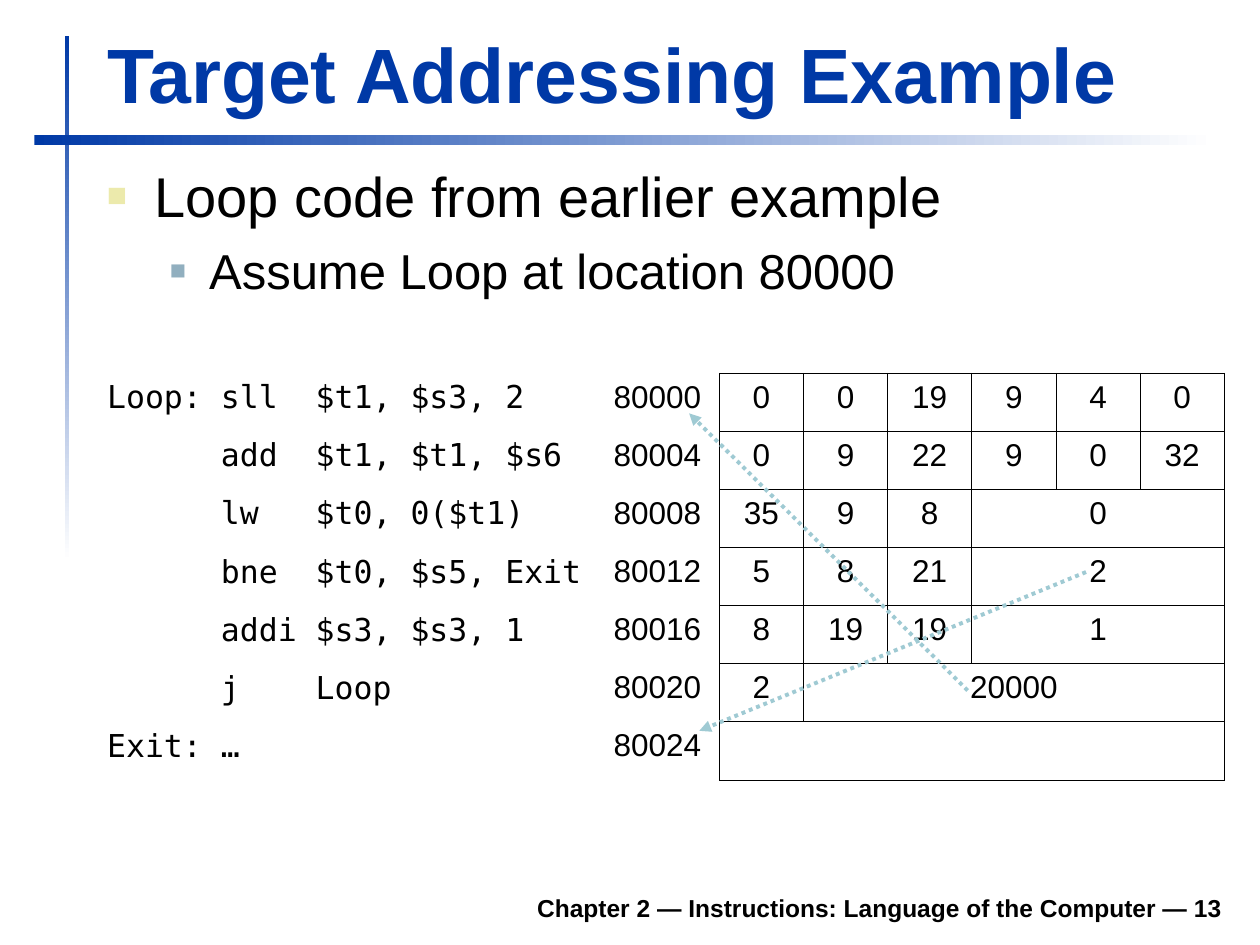
from lxml import etree
from pptx import Presentation
from pptx.dml.color import RGBColor
from pptx.enum import dml, shapes, text
from pptx.oxml import ns
from pptx.util import Pt

NAVY = RGBColor(0x00, 0x39, 0xA6)
WHITE = RGBColor(0xFF, 0xFF, 0xFF)
BLACK = RGBColor(0x00, 0x00, 0x00)
CREAM = RGBColor(0xEC, 0xEA, 0xAC)
STEEL = RGBColor(0x91, 0xAF, 0xBF)
AQUA = RGBColor(0x9F, 0xCA, 0xD3)
SANS, MONO = "Arial", "DejaVu Sans Mono"

FIRST_ADDRESS = 80000
CODE_WIDTH, ADDRESS_WIDTH, FIELD_WIDTH, ROW_HEIGHT = 289.4, 67.7, 48.1, 33.2
FIELD_COUNT = 6
INSTRUCTIONS = [
    ("Loop:", "sll", "$t1, $s3, 2", [0, 0, 19, 9, 4, 0]),
    ("", "add", "$t1, $t1, $s6", [0, 9, 22, 9, 0, 32]),
    ("", "lw", "$t0, 0($t1)", [35, 9, 8, 0]),
    ("", "bne", "$t0, $s5, Exit", [5, 8, 21, 2]),
    ("", "addi", "$s3, $s3, 1", [8, 19, 19, 1]),
    ("", "j", "Loop", [2, 20000]),
    ("Exit:", "…", "", [""]),
]


def add_node(parent, tag, **attributes):
    return etree.SubElement(parent, ns.qn(tag), attributes)


def set_font(para, size, name=SANS, color=BLACK, bold=False):
    font = para.font
    font.size, font.name, font.bold = Pt(size), name, bold
    font.color.rgb = color


def add_text_box(page, left, top, width, height):
    box = page.shapes.add_textbox(Pt(left), Pt(top), Pt(width), Pt(height))
    box.text_frame.word_wrap = True
    return box.text_frame


def add_gradient_bar(page, left, top, width, height, angle):
    bar = page.shapes.add_shape(shapes.MSO_SHAPE.RECTANGLE,
                                Pt(left), Pt(top), Pt(width), Pt(height))
    bar.shadow.inherit = False
    bar.line.fill.background()
    bar.fill.gradient()
    bar.fill.gradient_angle = angle
    for stop, color in zip(bar.fill.gradient_stops, (NAVY, WHITE)):
        stop.color.rgb = color


def place_title(page, left, top, width, height):
    title = page.shapes.title
    title.left, title.top = Pt(left), Pt(top)
    title.width, title.height = Pt(width), Pt(height)
    frame = title.text_frame
    frame.text = "Target Addressing Example"
    frame.vertical_anchor = text.MSO_ANCHOR.BOTTOM
    frame.auto_size = text.MSO_AUTO_SIZE.SHAPE_TO_FIT_TEXT
    para = frame.paragraphs[0]
    para.alignment = text.PP_ALIGN.LEFT
    set_font(para, 44, color=NAVY, bold=True)


def add_bullet(para, color, percent, margin, hanging):
    props = para._p.get_or_add_pPr()
    props.set("marL", str(Pt(margin)))
    props.set("indent", str(-Pt(hanging)))
    add_node(add_node(props, "a:buClr"), "a:srgbClr", val=str(color))
    add_node(props, "a:buSzPct", val=str(percent * 1000))
    add_node(props, "a:buFont", typeface=SANS)
    add_node(props, "a:buChar", char="■")


def add_outline(page, left, top, width, height):
    frame = add_text_box(page, left, top, width, height)
    items = [
        ("Loop code from earlier example", 32, 8, (CREAM, 60, 27, 27)),
        ("Assume Loop at location 80000", 28, 7, (STEEL, 55, 58.5, 22.5)),
    ]
    for level, (words, size, before, bullet) in enumerate(items):
        para = frame.add_paragraph() if level else frame.paragraphs[0]
        para.text = words
        para.level = level
        add_bullet(para, *bullet)
        para.space_before = Pt(before)
        set_font(para, size)


def add_borders(cell, **colors):
    props = cell._tc.get_or_add_tcPr()
    for index, side in enumerate(("L", "R", "T", "B")):
        line = etree.Element(ns.qn(f"a:ln{side}"), w=str(Pt(0.45)))
        color = colors.get(side, colors["rest"])
        add_node(add_node(line, "a:solidFill"), "a:srgbClr", val=str(color))
        props.insert(index, line)


def fill_cell(cell, words, name=SANS, align=text.PP_ALIGN.LEFT):
    para = cell.text_frame.paragraphs[0]
    para.text = str(words)
    para.alignment = align
    para.space_before = Pt(4.5)
    set_font(para, 18, name)


def add_code_table(page, left, top):
    widths = [CODE_WIDTH, ADDRESS_WIDTH] + [FIELD_WIDTH] * FIELD_COUNT
    count = len(INSTRUCTIONS)
    frame = page.shapes.add_table(count, len(widths), Pt(left), Pt(top),
                                  Pt(sum(widths)), Pt(ROW_HEIGHT * count))
    table = frame.table
    table.first_row = table.horz_banding = False
    for column, width in zip(table.columns, widths):
        column.width = Pt(width)
    for index, (label, operation, operands, fields) in enumerate(INSTRUCTIONS):
        table.rows[index].height = Pt(ROW_HEIGHT)
        cells = [table.cell(index, column) for column in range(len(widths))]
        for cell in cells:
            cell.fill.background()
        add_borders(cells[0], rest=WHITE)
        add_borders(cells[1], rest=WHITE, R=BLACK)
        for cell in cells[2:]:
            add_borders(cell, rest=BLACK)
        code = f"{label:<6}{operation:<5}{operands}".rstrip()
        fill_cell(cells[0], code, MONO)
        fill_cell(cells[1], FIRST_ADDRESS + 4 * index)
        last = 1 + len(fields)
        if len(fields) < FIELD_COUNT:
            cells[last].merge(cells[-1])
        for cell, value in zip(cells[2:], fields):
            fill_cell(cell, value, align=text.PP_ALIGN.CENTER)


def add_jump_arrow(page, start, end):
    arrow = page.shapes.add_connector(shapes.MSO_CONNECTOR.STRAIGHT,
                                      *map(Pt, start + end))
    arrow.line.color.rgb = AQUA
    arrow.line.width = Pt(2.25)
    arrow.line.dash_style = dml.MSO_LINE.ROUND_DOT
    add_node(arrow.line._get_or_add_ln(), "a:tailEnd", type="triangle")
    add_node(arrow._element.spPr, "a:effectLst")


def add_footer(page, left, top, width, height):
    frame = add_text_box(page, left, top, width, height)
    frame.vertical_anchor = text.MSO_ANCHOR.BOTTOM
    para = frame.paragraphs[0]
    para.text = "Chapter 2 — Instructions: Language of the Computer — 13"
    para.alignment = text.PP_ALIGN.RIGHT
    set_font(para, 14, bold=True)


def main():
    deck = Presentation()
    deck.slide_width, deck.slide_height = Pt(720), Pt(540)
    page = deck.slides.add_slide(deck.slide_layouts[5])
    add_gradient_bar(page, 37, 20.4, 2.6, 300, 270)
    add_gradient_bar(page, 19.7, 77, 674.6, 5.8, 0)
    add_footer(page, 133.2, 502.6, 572.4, 28)
    place_title(page, 54, 11.5, 650, 59.8)
    add_outline(page, 54, 88.6, 650.9, 96.5)
    add_code_table(page, 54, 213.3)
    add_jump_arrow(page, (553, 394.6), (393.8, 236.2))
    add_jump_arrow(page, (620.6, 326.9), (399.6, 417.6))
    deck.save("out.pptx")


if __name__ == "__main__":
    main()
